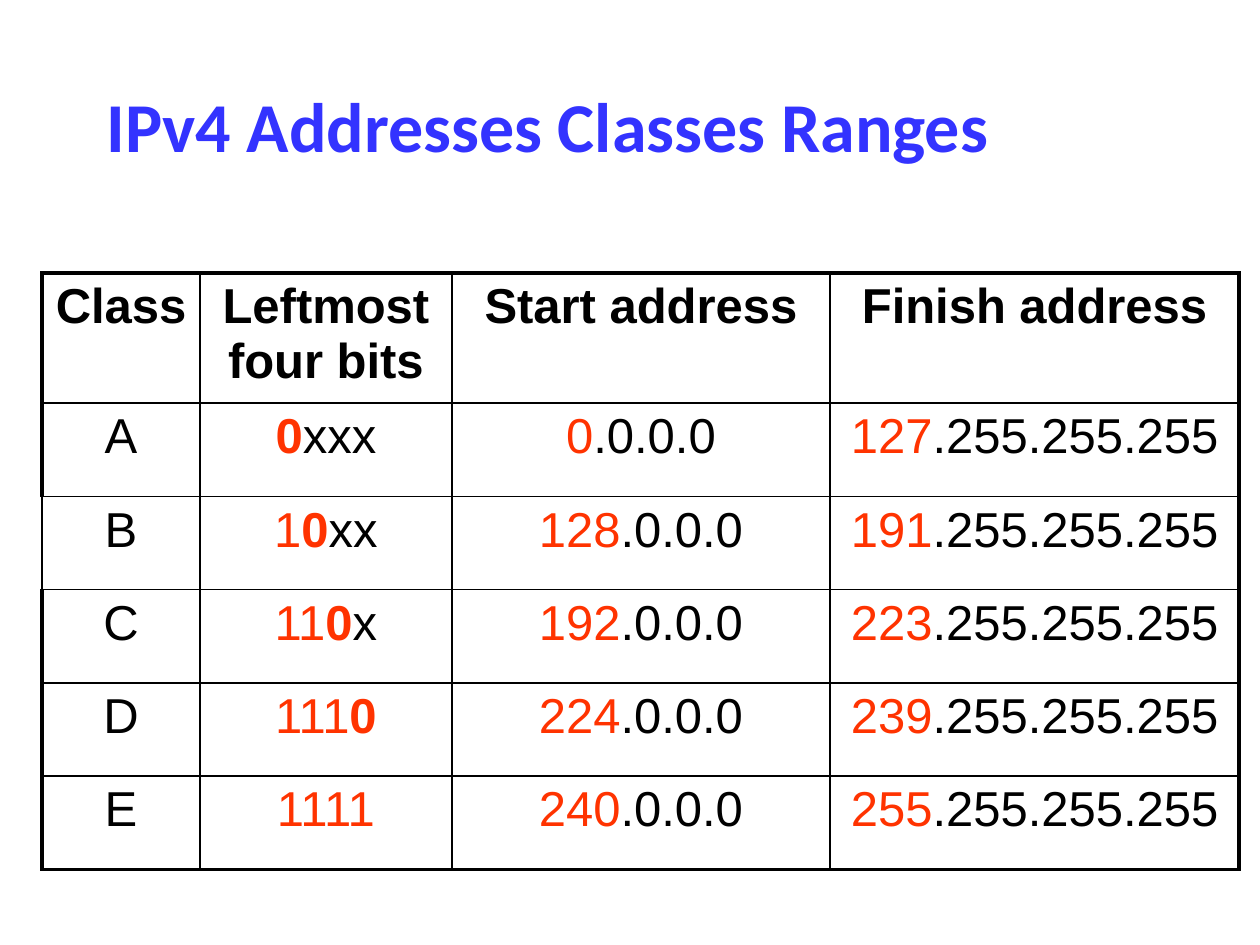
from dataclasses import dataclass

from lxml import etree
from pptx import Presentation
from pptx import util as u
from pptx.dml.color import RGBColor
from pptx.enum import text
from pptx.oxml.ns import qn


@dataclass(frozen=True)
class Theme:
    ink: str = "000000"
    blue: str = "3333FF"
    red: str = "FF3300"
    head: str = "Calibri"
    body: str = "Arial"
    big: float = 40
    mid: float = 28
    thin: float = 1
    thick: float = 2.25


def write(para, words, *, font, size, color, bold=False):
    run = para.add_run()
    run.text = words
    run.font.name = font
    run.font.size = u.Pt(size)
    run.font.bold = bold
    run.font.color.rgb = RGBColor.from_string(color)


class Deck:
    def __init__(self, theme):
        self.theme = theme
        self.prs = Presentation()
        self.prs.slide_width = u.Cm(25.4)
        self.prs.slide_height = u.Cm(19.05)
        self.slide = self.prs.slides.add_slide(self.prs.slide_layouts[6])

    def title(self, words, left, top, width, height):
        box = self.slide.shapes.add_textbox(
            u.Cm(left), u.Cm(top), u.Cm(width), u.Cm(height))
        frame = box.text_frame
        frame.word_wrap = True
        frame.vertical_anchor = text.MSO_ANCHOR.MIDDLE
        para = frame.paragraphs[0]
        para.line_spacing = 0.9
        write(para, words, font=self.theme.head, size=self.theme.big,
              color=self.theme.blue, bold=True)

    def edge(self, cell, sides):
        props = cell._tc.get_or_add_tcPr()
        for spot, (side, width) in enumerate(sides.items()):
            line = etree.Element(qn(f"a:ln{side}"), w=str(u.Pt(width)))
            fill = etree.SubElement(line, qn("a:solidFill"))
            etree.SubElement(fill, qn("a:srgbClr"), val=self.theme.ink)
            props.insert(spot, line)

    def cell(self, cell, runs):
        cell.fill.background()
        para = cell.text_frame.paragraphs[0]
        para.alignment = text.PP_ALIGN.CENTER
        for words, color, bold in runs:
            write(para, words, font=self.theme.body, size=self.theme.mid,
                  color=color, bold=bold)

    def table(self, rows, left, top, widths, heights, thin_left=()):
        thin, thick = self.theme.thin, self.theme.thick
        grid = self.slide.shapes.add_table(
            len(heights), len(widths), u.Cm(left), u.Cm(top),
            u.Cm(sum(widths)), u.Cm(sum(heights))).table
        grid.first_row = grid.horz_banding = False
        for col, width in zip(grid.columns, widths):
            col.width = u.Cm(width)
        for row, height in zip(grid.rows, heights):
            row.height = u.Cm(height)
        for r, row in enumerate(rows):
            for c, runs in enumerate(row):
                cell = grid.cell(r, c)
                self.cell(cell, runs)
                outer = {
                    "L": c == 0 and r not in thin_left,
                    "R": c == len(widths) - 1,
                    "T": r == 0,
                    "B": r == len(heights) - 1,
                }
                self.edge(cell, {side: thick if out else thin
                                 for side, out in outer.items()})


def class_row(theme, name, ones, first, last):
    zero = "0" if ones < 4 else ""
    rest = "x" * (3 - ones)
    bits = [("1" * ones, theme.red, False), (zero, theme.red, True),
            (rest, theme.ink, False)]
    return [
        [(name, theme.ink, False)],
        [run for run in bits if run[0]],
        [(str(first), theme.red, False), (".0.0.0", theme.ink, False)],
        [(str(last), theme.red, False), (".255.255.255", theme.ink, False)],
    ]


def main():
    theme = Theme()
    deck = Deck(theme)
    deck.title("IPv4 Addresses Classes Ranges", 1.9, 1.7, 21.6, 1.83)
    heads = ["Class", "Leftmost four bits", "Start address", "Finish address"]
    ranges = [("A", 0, 127), ("B", 128, 191), ("C", 192, 223),
              ("D", 224, 239), ("E", 240, 255)]
    rows = [[[(head, theme.ink, True)] for head in heads]]
    rows += [class_row(theme, name, ones, first, last)
             for ones, (name, first, last) in enumerate(ranges)]
    deck.table(rows, 0.85, 5.5, [3.18, 5.08, 7.62, 8.25],
               [2.62] + [1.88] * len(ranges), thin_left=(2,))
    deck.prs.save("out.pptx")


if __name__ == "__main__":
    main()
